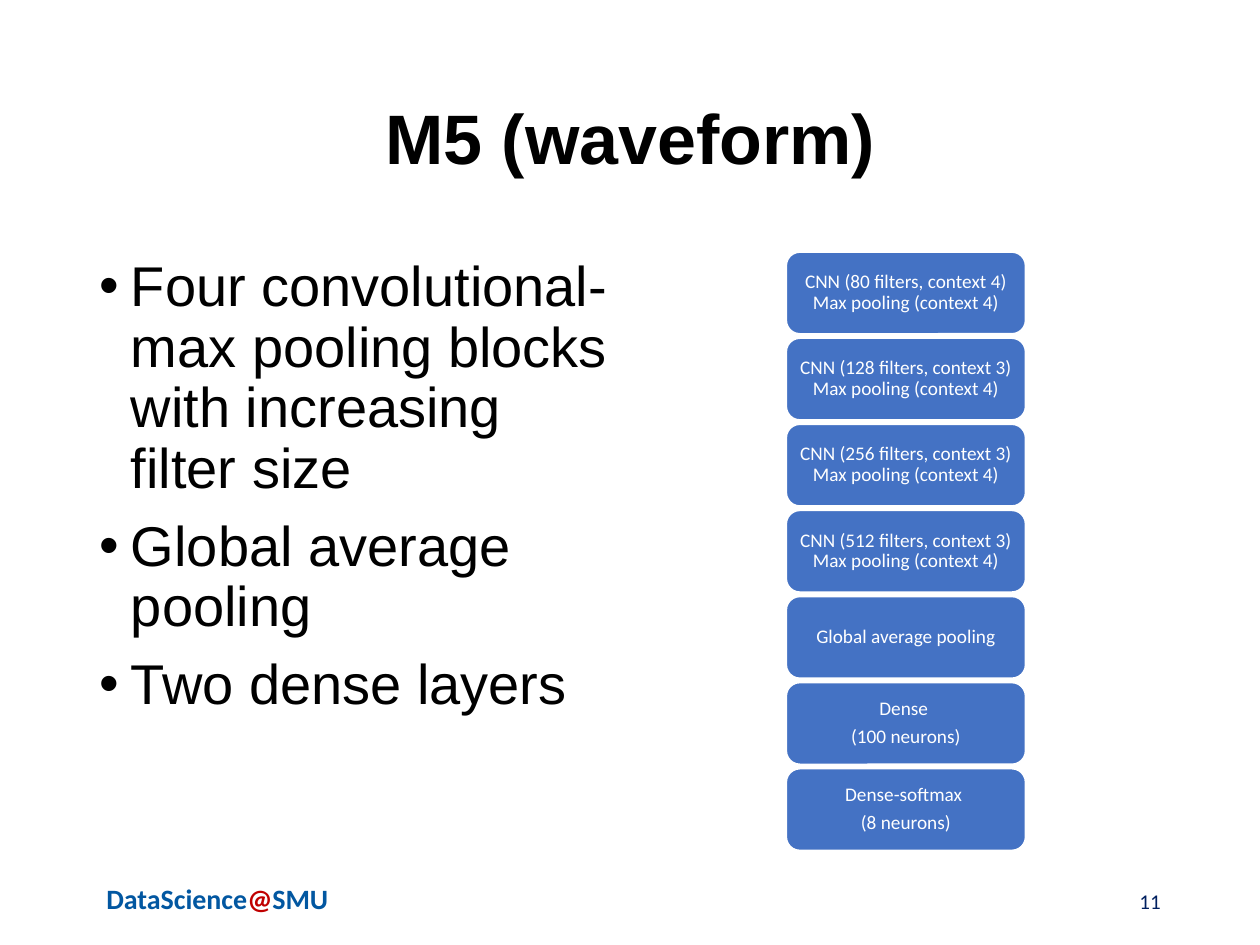
from lxml import etree
from pptx import Presentation
from pptx.dml.color import RGBColor
from pptx.enum.shapes import MSO_SHAPE
from pptx.enum.text import MSO_ANCHOR, MSO_AUTO_SIZE, PP_ALIGN
from pptx.oxml.ns import qn
from pptx.util import Inches, Pt

ROUNDED = MSO_SHAPE.ROUNDED_RECTANGLE
TOP, MIDDLE = MSO_ANCHOR.TOP, MSO_ANCHOR.MIDDLE
LEFT, CENTER, RIGHT = PP_ALIGN.LEFT, PP_ALIGN.CENTER, PP_ALIGN.RIGHT

BLACK, WHITE = "000000", "FFFFFF"
LAYER_BLUE, BRAND_BLUE, BRAND_RED, NUMBER_BLUE = "4472C4", "0257A1", "C00000", "002060"

BULLETS = [
    "Four convolutional-max pooling blocks with increasing filter size",
    "Global average pooling",
    "Two dense layers",
]
CONVOLUTIONS = [(80, 4), (128, 3), (256, 3), (512, 3)]
DENSE_LAYERS = [("Dense", 100), ("Dense-softmax", 8)]

LAYER_LEFT, LAYER_TOP, LAYER_WIDTH, LAYER_HEIGHT = 6.24, 2, 1.9, 0.65
LAYER_PITCH = 4.1 / 6


def color(hex_string):
    return RGBColor.from_string(hex_string)


def place(shape, left, top, width, height):
    shape.left, shape.top = Inches(left), Inches(top)
    shape.width, shape.height = Inches(width), Inches(height)


def add_run(paragraph, text, size, font_name, hex_color, bold=False):
    run = paragraph.add_run()
    run.text = text
    run.font.size = Pt(size)
    run.font.name = font_name
    run.font.bold = bold
    run.font.color.rgb = color(hex_color)


def paragraph_at(frame, index):
    return frame.paragraphs[0] if index == 0 else frame.add_paragraph()


def add_text_frame(slide, left, top, width, height, anchor=TOP):
    box = slide.shapes.add_textbox(Inches(left), Inches(top), Inches(width), Inches(height))
    frame = box.text_frame
    frame.word_wrap = True
    frame.vertical_anchor = anchor
    return frame


def add_bullet(paragraph, indent):
    properties = paragraph._p.get_or_add_pPr()
    properties.set("marL", str(Inches(indent)))
    properties.set("indent", str(-Inches(indent)))
    etree.SubElement(properties, qn("a:buFont")).set("typeface", "Arial")
    etree.SubElement(properties, qn("a:buChar")).set("char", "•")


def set_title(slide, text):
    title = slide.shapes.title
    place(title, 0.69, 0.4, 8.62, 1.45)
    frame = title.text_frame
    frame.auto_size = MSO_AUTO_SIZE.NONE
    frame.vertical_anchor = MIDDLE
    paragraph = frame.paragraphs[0]
    paragraph.alignment = CENTER
    paragraph.line_spacing = 0.9
    add_run(paragraph, text, 40, "Arial", BLACK, bold=True)


def add_bullet_list(slide, items):
    frame = add_text_frame(slide, 0.69, 2, 4.25, 4.76)
    for index, item in enumerate(items):
        paragraph = paragraph_at(frame, index)
        add_bullet(paragraph, 0.25)
        paragraph.alignment = LEFT
        paragraph.line_spacing = 0.9
        paragraph.space_before = Pt(10 if index else 0)
        add_run(paragraph, item, 32, "Arial", BLACK)


def add_layer(slide, position, paragraphs):
    """Add one network layer; each paragraph is a list of lines."""
    top = LAYER_TOP + position * LAYER_PITCH
    layer = slide.shapes.add_shape(ROUNDED, Inches(LAYER_LEFT), Inches(top),
                                   Inches(LAYER_WIDTH), Inches(LAYER_HEIGHT))
    layer.shadow.inherit = False
    layer.fill.solid()
    layer.fill.fore_color.rgb = color(LAYER_BLUE)
    layer.line.color.rgb = color(WHITE)
    layer.line.width = Pt(1)
    frame = layer.text_frame
    frame.word_wrap = True
    frame.vertical_anchor = MIDDLE
    frame.margin_left = frame.margin_right = Inches(0.05)
    frame.margin_top = frame.margin_bottom = Inches(0.02)
    for index, lines in enumerate(paragraphs):
        paragraph = paragraph_at(frame, index)
        paragraph.alignment = CENTER
        paragraph.line_spacing = 0.9
        paragraph.space_before = Pt(4 if index else 0)
        for line_index, line in enumerate(lines):
            if line_index:
                paragraph.add_line_break()
            add_run(paragraph, line, 11, "Calibri", WHITE)


def add_network(slide):
    layers = [[[f"CNN ({filters} filters, context {context})", "Max pooling (context 4)"]]
              for filters, context in CONVOLUTIONS]
    layers.append([["Global average pooling"]])
    layers += [[[f"{name} "], [f"({neurons} neurons)"]] for name, neurons in DENSE_LAYERS]
    for position, paragraphs in enumerate(layers):
        add_layer(slide, position, paragraphs)


def add_footer(slide):
    brand = add_text_frame(slide, 0.69, 6.95, 2.07, 0.53).paragraphs[0]
    brand.alignment = CENTER
    for text, hex_color in [("DataScience", BRAND_BLUE), ("@", BRAND_RED), ("SMU", BRAND_BLUE)]:
        add_run(brand, text, 16, "Calibri", hex_color, bold=True)
    number = add_text_frame(slide, 7.06, 6.95, 2.25, 0.4, MIDDLE).paragraphs[0]
    number.alignment = RIGHT
    add_run(number, "11", 12, "Calibri", NUMBER_BLUE)


def main():
    presentation = Presentation()
    presentation.slide_width, presentation.slide_height = Inches(10), Inches(7.5)
    slide = presentation.slides.add_slide(presentation.slide_layouts.get_by_name("Title Only"))
    set_title(slide, "M5 (waveform)")
    add_bullet_list(slide, BULLETS)
    add_network(slide)
    add_footer(slide)
    presentation.save("out.pptx")


if __name__ == "__main__":
    main()
